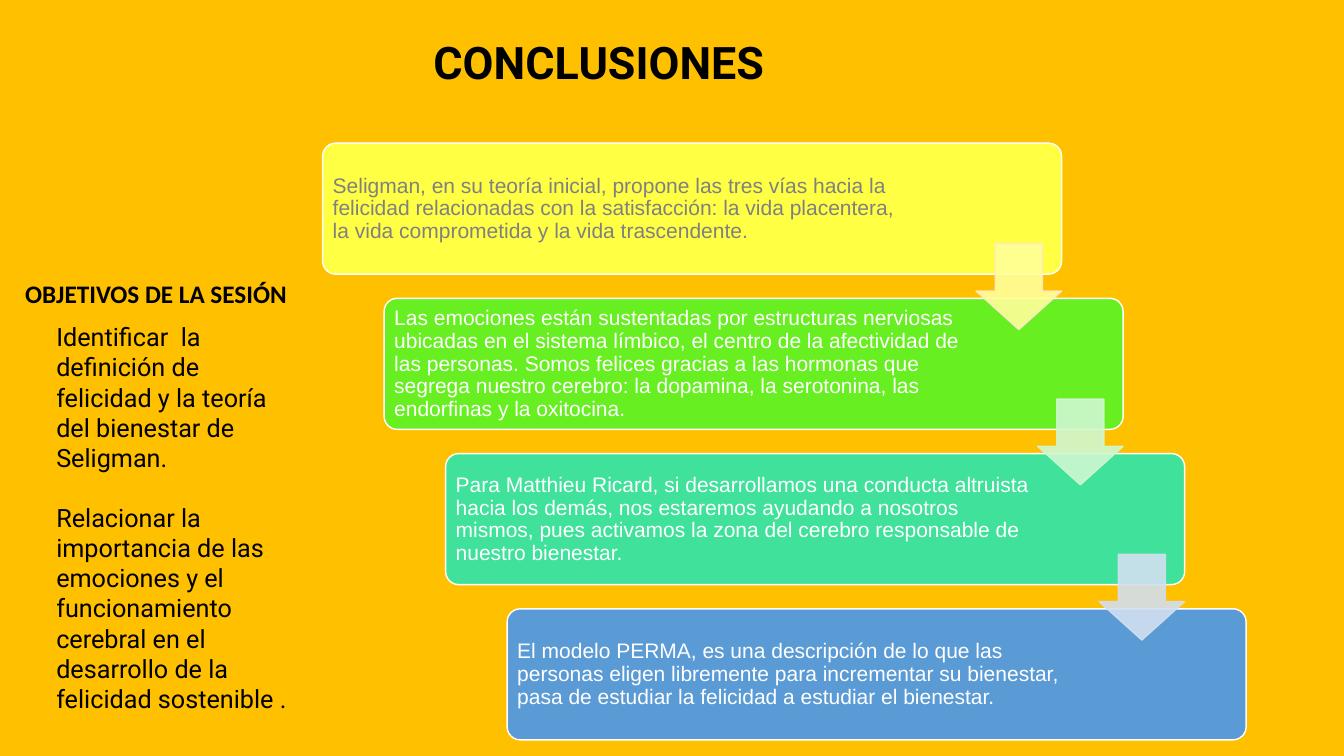
"""Build the "Conclusiones" slide: a staircase of four conclusions beside the session goals."""
from dataclasses import dataclass

from lxml.etree import SubElement
from pptx import Presentation
from pptx.dml.color import RGBColor
from pptx.enum.shapes import MSO_SHAPE
from pptx.enum.text import MSO_ANCHOR
from pptx.oxml.ns import qn
from pptx.util import Pt

PX = 9144
STEP_X, STEP_Y = 61, 154
CARD_X, CARD_Y, CARD_W, CARD_H = 320, 142, 733, 130
ARROW_X, ARROW_Y, ARROW_SIZE = 968, 242, 85


@dataclass(frozen=True)
class Box:
    """A rectangle in px, at 100 px to the inch."""
    x: int
    y: int
    w: int
    h: int

    def emu(self) -> tuple[int, int, int, int]:
        """Return left, top, width and height in EMU."""
        return self.x * PX, self.y * PX, self.w * PX, self.h * PX


@dataclass(frozen=True)
class Style:
    """The look of a run of text."""
    font: str
    size: int
    color: str = "000000"
    bold: bool = False


@dataclass(frozen=True)
class Card:
    """One conclusion on the staircase."""
    text: str
    fill: str
    color: str = "FFFFFF"


@dataclass(frozen=True)
class Arrow:
    """A down arrow between two cards."""
    fill: str
    line: str


CARDS = [
    Card("Seligman, en su teoría inicial, propone las tres vías hacia la felicidad "
         "relacionadas con la satisfacción: la vida placentera, la vida comprometida "
         "y la vida trascendente.", "FFFF43", "808080"),
    Card("Las emociones están sustentadas por estructuras nerviosas ubicadas en el "
         "sistema límbico, el centro de la afectividad de las personas. Somos felices "
         "gracias a las hormonas que segrega nuestro cerebro: la dopamina, la "
         "serotonina, las endorfinas y la oxitocina.", "67EF21"),
    Card("Para Matthieu Ricard, si desarrollamos una conducta altruista hacia los "
         "demás, nos estaremos ayudando a nosotros mismos, pues activamos la zona del "
         "cerebro responsable de nuestro bienestar.", "3FE19B"),
    Card("El modelo PERMA, es una descripción de lo que las personas eligen "
         "libremente para incrementar su bienestar, pasa de estudiar la felicidad a "
         "estudiar el bienestar.", "5B9BD5"),
]
ARROWS = [Arrow("FFFF99", "FFE8CC"), Arrow("CFF8D1", "CFF8D1"), Arrow("D2DFF0", "D2DFF0")]
GOALS = [
    "Identificar  la definición de felicidad y la teoría del bienestar de Seligman.",
    "Relacionar la importancia de las emociones y el funcionamiento cerebral en el "
    "desarrollo de la felicidad sostenible .",
]


def rgb(color: str) -> RGBColor:
    """Turn a hex string into a colour."""
    return RGBColor.from_string(color)


def paint(fill, color: str, opacity: int = 100) -> None:
    """Give a fill one colour, at an opacity in percent."""
    fill.solid()
    fill.fore_color.rgb = rgb(color)
    if opacity < 100:
        for clr in fill._xPr.iter(qn("a:srgbClr")):
            SubElement(clr, qn("a:alpha")).set("val", str(opacity * 1000))


def add_text(s, box: Box, texts: list[str], style: Style, anchor=MSO_ANCHOR.TOP,
             inset: int | None = None, spacing: float = 1.0, indent: int = 0,
             gap: int = 0) -> None:
    """Add a text box with one paragraph per text."""
    tf = s.shapes.add_textbox(*box.emu()).text_frame
    tf.word_wrap = True
    tf.vertical_anchor = anchor
    if inset is not None:
        tf.margin_left = tf.margin_right = tf.margin_top = tf.margin_bottom = inset * PX
    for i, text in enumerate(texts):
        p = tf.add_paragraph() if i else tf.paragraphs[0]
        p.line_spacing = spacing
        if indent:
            p._p.get_or_add_pPr().set("marL", str(indent * PX))
        if i:
            p.space_before = Pt(gap)
        r = p.add_run()
        r.text = text
        r.font.name, r.font.size, r.font.bold = style.font, Pt(style.size), style.bold
        r.font.color.rgb = rgb(style.color)


def add_shape(s, kind: MSO_SHAPE, box: Box, adjustments: list[float], fill: str,
              line: str, opacity: int = 100) -> None:
    """Add a filled and outlined preset shape."""
    sp = s.shapes.add_shape(kind, *box.emu())
    sp.shadow.inherit = False
    for i, value in enumerate(adjustments):
        sp.adjustments[i] = value
    paint(sp.fill, fill, opacity)
    sp.line.width = Pt(1)
    paint(sp.line.fill, line, opacity)


def add_card(s, i: int, card: Card) -> None:
    """Add the card on step i, with its text."""
    x, y = CARD_X + i * STEP_X, CARD_Y + i * STEP_Y
    add_shape(s, MSO_SHAPE.ROUNDED_RECTANGLE, Box(x, y, CARD_W, CARD_H), [0.1],
              card.fill, "FFFFFF")
    add_text(s, Box(x + 4, y + 4, 581, 123), [card.text], Style("Arial", 15, card.color),
             MSO_ANCHOR.MIDDLE, inset=6, spacing=0.9)


def add_arrow(s, i: int, arrow: Arrow) -> None:
    """Add the arrow that leads down from step i."""
    box = Box(ARROW_X + i * STEP_X, ARROW_Y + i * STEP_Y, ARROW_SIZE, ARROW_SIZE)
    add_shape(s, MSO_SHAPE.DOWN_ARROW, box, [0.55, 0.45], arrow.fill, arrow.line, 90)


def main() -> None:
    """Build and save the slide."""
    prs = Presentation()
    prs.slide_width, prs.slide_height = 1333 * PX, 750 * PX
    s = prs.slides.add_slide(prs.slide_layouts[6])
    paint(s.background.fill, "FFC000")
    add_text(s, Box(420, 44, 589, 49), ["CONCLUSIONES"], Style("Roboto", 32, bold=True),
             MSO_ANCHOR.BOTTOM, spacing=0.9)
    add_text(s, Box(15, 314, 282, 374), GOALS, Style("Roboto", 18), indent=31, gap=21)
    for i, card in enumerate(CARDS):
        add_card(s, i, card)
    for i, arrow in enumerate(ARROWS):
        add_arrow(s, i, arrow)
    add_text(s, Box(15, 271, 282, 40), ["OBJETIVOS DE LA SESIÓN"],
             Style("Calibri", 18, bold=True))
    prs.save("out.pptx")


if __name__ == "__main__":
    main()
